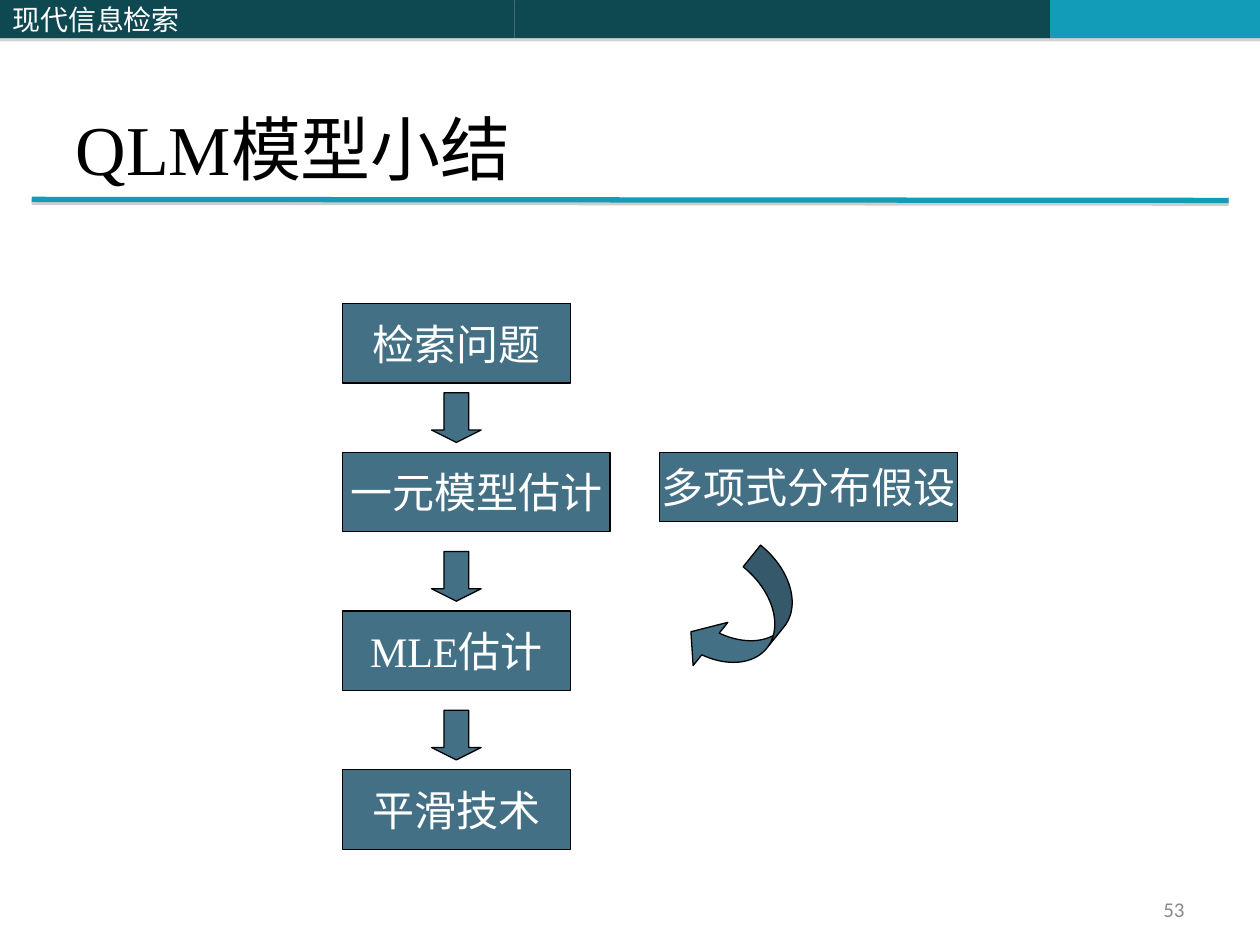
from pptx import Presentation
from pptx.dml.color import RGBColor
from pptx.enum.shapes import MSO_CONNECTOR, MSO_SHAPE
from pptx.enum.text import MSO_ANCHOR, PP_ALIGN
from pptx.oxml import parse_xml
from pptx.oxml.ns import nsdecls
from pptx.util import Cm, Pt

DARK_TEAL = RGBColor(0x0E, 0x48, 0x51)
TEAL = RGBColor(0x13, 0x9C, 0xB7)
STEEL = RGBColor(0x43, 0x70, 0x85)
BLACK = RGBColor(0, 0, 0)
WHITE = RGBColor(255, 255, 255)
GREY = RGBColor(0x89, 0x89, 0x89)
SERIF, CHINESE, SANS = "Times New Roman", "Noto Sans CJK SC", "Calibri"


def write(shape, text, name, size, color, **frame_format):
    """Put one formatted paragraph into a shape."""
    frame = shape.text_frame
    align = frame_format.pop("align", PP_ALIGN.LEFT)
    for key, value in frame_format.items():
        setattr(frame, key, value)
    para = frame.paragraphs[0]
    para.alignment = align
    span = para.add_run()
    span.text = text
    for key, value in {"name": name, "size": Pt(size)}.items():
        setattr(span.font, key, value)
    span.font.color.rgb = color
    span.font._element.append(parse_xml(
        f'<a:ea {nsdecls("a")} typeface="{CHINESE}"/>'))


def drop_shadow(shape, opacity, distance):
    """Give a shape or line a sharp grey shadow straight below it."""
    shape._element.spPr.append(parse_xml(
        f'<a:effectLst {nsdecls("a")}><a:outerShdw blurRad="0" dist="{Pt(distance)}" '
        f'dir="5400000" rotWithShape="0"><a:srgbClr val="808080">'
        f'<a:alpha val="{opacity * 1000}"/></a:srgbClr></a:outerShdw></a:effectLst>'))


deck = Presentation()
deck.slide_width, deck.slide_height = Cm(25.4), Cm(19.05)
page = deck.slides.add_slide(deck.slide_layouts[5])
shapes = page.shapes

# Header band
for left, width, color, text in [
    (10.37, 10.8, DARK_TEAL, ""),
    (21.17, 4.23, TEAL, ""),
    (0, 10.37, DARK_TEAL, "现代信息检索"),
]:
    band = shapes.add_shape(MSO_SHAPE.RECTANGLE, Cm(left), 0, Cm(width), Cm(0.77))
    band.fill.solid()
    band.fill.fore_color.rgb = color
    band.line.fill.background()
    drop_shadow(band, 35, 1.8)
    if text:
        write(band, text, CHINESE, 16, WHITE, vertical_anchor=MSO_ANCHOR.MIDDLE)

# Title and the rule below it
title = shapes.title
for key, value in {"left": 1.27, "top": 0.77, "width": 22.86, "height": 3.17}.items():
    setattr(title, key, Cm(value))
write(title, "QLM模型小结", SERIF, 40, BLACK, vertical_anchor=MSO_ANCHOR.BOTTOM)
rule = shapes.add_connector(MSO_CONNECTOR.STRAIGHT, Cm(0.64), Cm(4.02), Cm(24.77), Cm(4.04))
rule.line.color.rgb = TEAL
rule.line.width = Pt(3)
drop_shadow(rule, 38, 1.6)

# Slide number
number = shapes.add_textbox(Cm(18.2), Cm(17.99), Cm(5.93), Cm(0.69))
write(number, "53", SANS, 12, GREY, align=PP_ALIGN.RIGHT, word_wrap=True,
      vertical_anchor=MSO_ANCHOR.MIDDLE)

# Flow chart: kind, left, top, width, height, text
BOX, DOWN = MSO_SHAPE.RECTANGLE, MSO_SHAPE.DOWN_ARROW
flow = [
    (BOX, 6.9, 6.12, 4.6, 1.6, "检索问题"),
    (BOX, 6.9, 9.12, 5.4, 1.6, "一元模型估计"),
    (BOX, 6.9, 12.32, 4.6, 1.6, "MLE估计"),
    (BOX, 6.9, 15.52, 4.6, 1.6, "平滑技术"),
    (BOX, 13.3, 9.12, 6, 1.4, "多项式分布假设"),
]
flow += [(DOWN, 8.7, 7.92 + 3.2 * step, 1, 1, "") for step in range(3)]
flow.append((MSO_SHAPE.CURVED_LEFT_ARROW, 14.3, 11.12, 1.4, 2.8, ""))

for kind, left, top, width, height, text in flow:
    part = shapes.add_shape(kind, Cm(left), Cm(top), Cm(width), Cm(height))
    part.shadow.inherit = False
    part.fill.solid()
    part.fill.fore_color.rgb = STEEL
    part.line.color.rgb = BLACK
    part.line.width = Pt(0.75)
    if text:
        write(part, text, SERIF, 24, WHITE, align=PP_ALIGN.CENTER, word_wrap=False,
              vertical_anchor=MSO_ANCHOR.MIDDLE)
    elif kind == DOWN:
        part.adjustments[0], part.adjustments[1] = 0.5, 0.25
    else:
        part.rotation = 38.8
        for index, value in enumerate([0.4, 0.8, 0.33]):
            part.adjustments[index] = value

deck.save("out.pptx")
